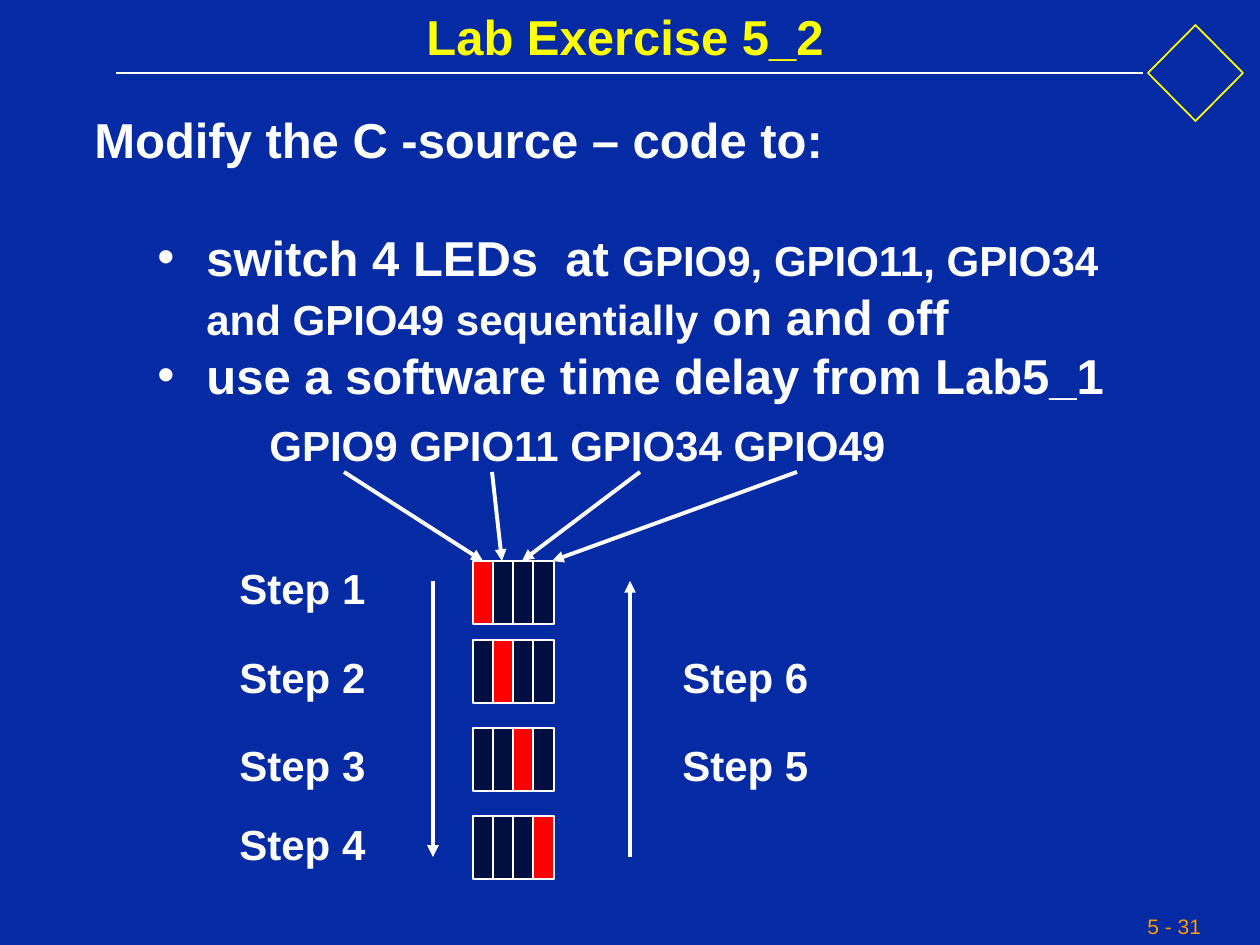
from lxml import etree
from pptx import Presentation
from pptx.dml.color import RGBColor
from pptx.enum.shapes import MSO_CONNECTOR, MSO_SHAPE
from pptx.enum.text import MSO_ANCHOR, PP_ALIGN
from pptx.oxml.ns import qn
from pptx.util import Emu, Pt

WHITE, YELLOW, RED = "FFFFFF", "FFFF00", "FF0000"
NAVY, BLUE, ORANGE = "000F40", "042AA4", "FE9B03"


def px(n):
    return Emu(round(n * 914400 / 126))


def rgb(value):
    return RGBColor.from_string(value)


def style(r, size, color=WHITE, bold=True):
    r.font.name = "Arial"
    r.font.size = Pt(size)
    r.font.bold = bold
    r.font.color.rgb = rgb(color)


def add_title(s, text):
    sp = s.shapes.title
    sp.left, sp.top, sp.width, sp.height = px(0), px(0), px(1250), px(105)
    tf = sp.text_frame
    tf.text = text
    tf.vertical_anchor = MSO_ANCHOR.TOP
    p = tf.paragraphs[0]
    p.alignment = PP_ALIGN.CENTER
    style(p.runs[0], 28, YELLOW)


def add_text(s, text, x, y, w, h, size, color=WHITE, bold=True, spacing=1.0):
    tf = s.shapes.add_textbox(px(x), px(y), px(w), px(h)).text_frame
    tf.word_wrap = True
    tf.text = text
    p = tf.paragraphs[0]
    p.line_spacing = spacing
    style(p.runs[0], size, color, bold)
    return tf


def add_label(s, text, x, y, w=160):
    add_text(s, text, x, y, w, 53, 24, spacing=0.8)


def add_bullet(p):
    pPr = p._p.get_or_add_pPr()
    pPr.set("marL", str(px(112)))
    pPr.set("indent", str(px(-49)))
    color = etree.SubElement(pPr, qn("a:buClr"))
    etree.SubElement(color, qn("a:srgbClr"), val=WHITE)
    etree.SubElement(pPr, qn("a:buFont"), typeface="Arial")
    etree.SubElement(pPr, qn("a:buChar"), char="•")


def add_body(s, heading, bullets):
    tf = add_text(s, heading, 82, 103, 1090, 365, 28)
    for i, parts in enumerate(bullets):
        p = tf.add_paragraph()
        add_bullet(p)
        p.space_before = Pt(0 if i else 34)
        for text, size in parts:
            r = p.add_run()
            r.text = text
            style(r, size)


def add_line(s, x1, y1, x2, y2, width=2.25, arrow=True):
    sp = s.shapes.add_connector(MSO_CONNECTOR.STRAIGHT, px(x1), px(y1), px(x2), px(y2))
    sp.line.color.rgb = rgb(WHITE)
    sp.line.width = Pt(width)
    if arrow:
        etree.SubElement(sp.line._get_or_add_ln(), qn("a:tailEnd"), type="triangle")
    etree.SubElement(sp._element.spPr, qn("a:effectLst"))


def add_shape(s, kind, x, y, w, h, line, fill=None):
    sp = s.shapes.add_shape(kind, px(x), px(y), px(w), px(h))
    sp.shadow.inherit = False
    if fill:
        sp.fill.solid()
        sp.fill.fore_color.rgb = rgb(fill)
    else:
        sp.fill.background()
    sp.line.color.rgb = rgb(line)
    sp.line.width = Pt(1)


def add_leds(s, y, lit):
    for i in range(4):
        fill = RED if i == lit else NAVY
        add_shape(s, MSO_SHAPE.RECTANGLE, 473 + 20 * i, y, 21, 63, WHITE, fill)


def main():
    prs = Presentation()
    prs.slide_width, prs.slide_height = px(1260), px(945)
    s = prs.slides.add_slide(prs.slide_layouts[5])
    s.background.fill.solid()
    s.background.fill.fore_color.rgb = rgb(BLUE)

    add_line(s, 116, 73, 1143, 73, width=1, arrow=False)
    add_shape(s, MSO_SHAPE.DIAMOND, 1148, 25, 95, 96, YELLOW)
    add_text(s, "5 - 31", 1135, 907, 120, 38, 12, ORANGE, False)
    add_title(s, "Lab Exercise 5_2")
    add_body(s, "Modify the C -source – code to:", [
        [("switch 4 LEDs  at ", 28),
         ("GPIO9, GPIO11, GPIO34 and GPIO49 sequentially", 24),
         (" on and off", 28)],
        [("use a software time delay from Lab5_1", 28)],
    ])

    add_label(s, "GPIO9 GPIO11 GPIO34 GPIO49", 257, 423, 660)
    for start, end in [(344, 483), (492, 502), (640, 522), (797, 552)]:
        add_line(s, start, 472, end, 561)

    for i, (led_y, label_y) in enumerate([(561, 566), (640, 655), (728, 743), (816, 822)]):
        add_leds(s, led_y, i)
        add_label(s, f"Step {i + 1}", 227, label_y)
    add_label(s, "Step 6", 670, 655)
    add_label(s, "Step 5", 670, 743)
    add_line(s, 433, 581, 433, 857)
    add_line(s, 630, 857, 630, 581)

    prs.save("out.pptx")


if __name__ == "__main__":
    main()
